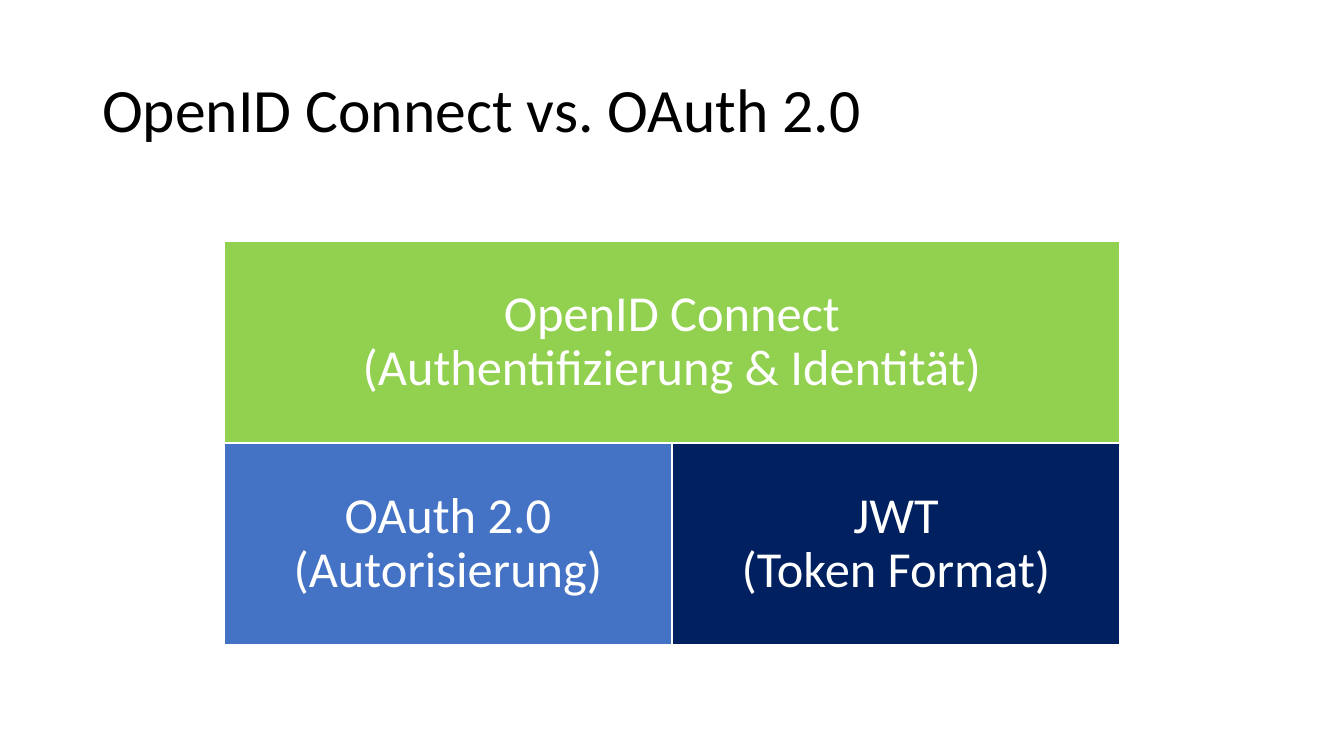
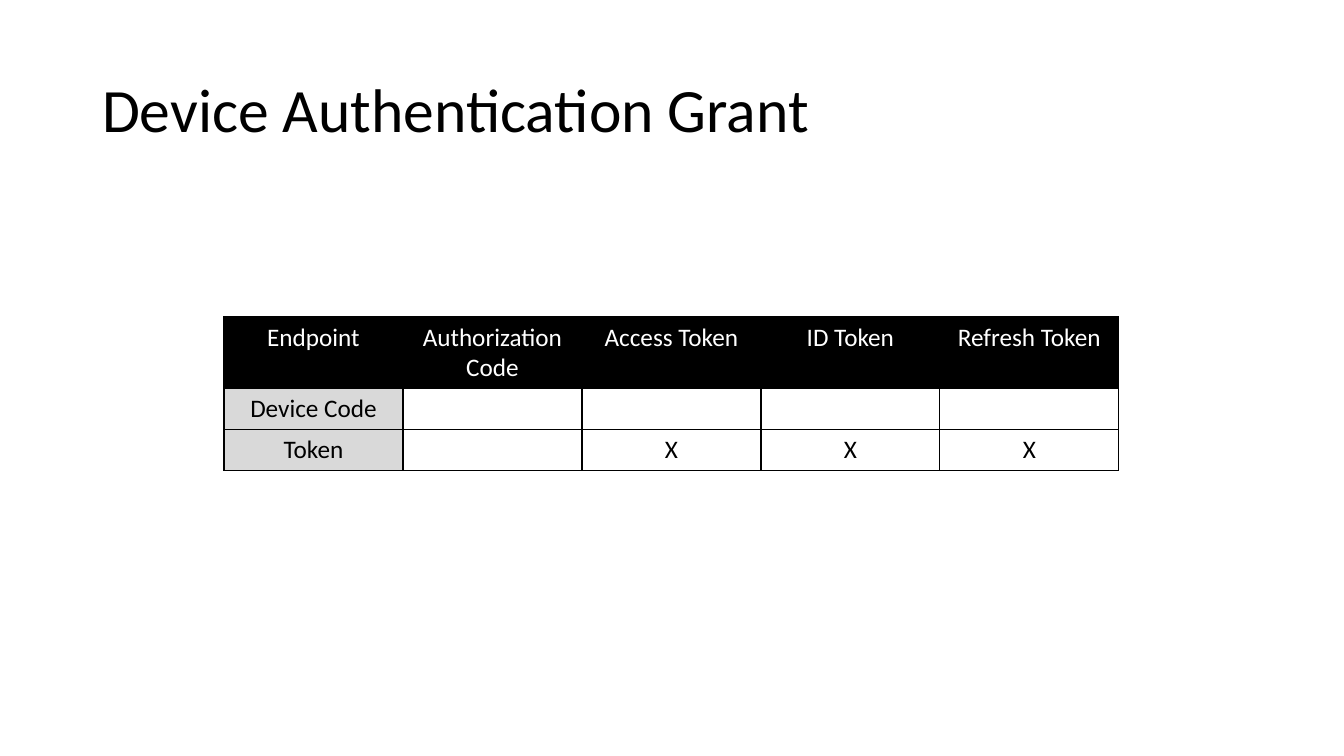
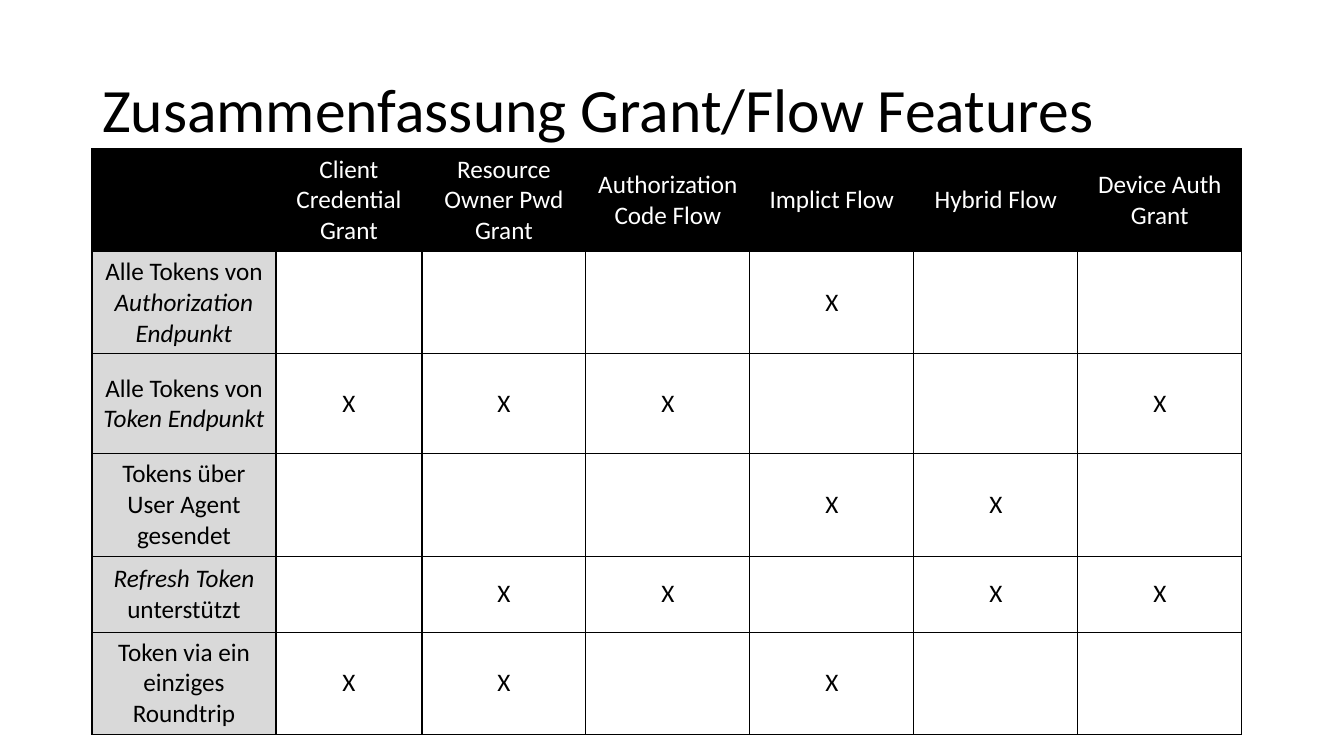
from lxml import etree
from pptx import Presentation
from pptx.dml.color import RGBColor
from pptx.enum.shapes import MSO_SHAPE
from pptx.enum.text import MSO_ANCHOR, MSO_AUTO_SIZE, PP_ALIGN
from pptx.oxml.ns import qn
from pptx.util import Emu, Pt

RECTANGLE = MSO_SHAPE.RECTANGLE
TOP, MIDDLE = MSO_ANCHOR.TOP, MSO_ANCHOR.MIDDLE
LEFT, CENTER = PP_ALIGN.LEFT, PP_ALIGN.CENTER
NO_AUTOFIT = MSO_AUTO_SIZE.NONE

SLIDE_WIDTH, SLIDE_HEIGHT = 1344, 756
EMU_PER_PX = 914400 / 100.8
TITLE_BOX = (92, 40, 1160, 146)
TITLE_ONLY_LAYOUT = 5

FONT = "Calibri"
BLACK, WHITE, LABEL_GRAY = "000000", "FFFFFF", "D9D9D9"
GREEN, BLUE, NAVY = "92D050", "4472C4", "002060"

TITLE_SIZE, BLOCK_SIZE, CELL_SIZE = 44, 36, 18


def px(length):
    return Emu(round(length * EMU_PER_PX))


def rgb(color):
    return RGBColor.from_string(color)


def add_run(paragraph, text, size, color, italic=False):
    run = paragraph.add_run()
    run.text = text
    run.font.name = FONT
    run.font.size = Pt(size)
    run.font.italic = italic
    run.font.color.rgb = rgb(color)


def add_titled_slide(prs, heading):
    slide = prs.slides.add_slide(prs.slide_layouts[TITLE_ONLY_LAYOUT])
    title = slide.shapes.title
    title.left, title.top, title.width, title.height = map(px, TITLE_BOX)
    frame = title.text_frame
    frame.auto_size = NO_AUTOFIT
    frame.vertical_anchor = MIDDLE
    paragraph = frame.paragraphs[0]
    paragraph.alignment = LEFT
    paragraph.line_spacing = 0.9
    add_run(paragraph, heading, TITLE_SIZE, BLACK)
    return slide


def add_block(slide, box, lines, color):
    block = slide.shapes.add_shape(RECTANGLE, *map(px, box))
    block.shadow.inherit = False
    block.fill.solid()
    block.fill.fore_color.rgb = rgb(color)
    block.line.color.rgb = rgb(WHITE)
    block.line.width = Pt(1)
    frame = block.text_frame
    frame.word_wrap = True
    frame.vertical_anchor = MIDDLE
    frame.margin_left = frame.margin_right = px(16)
    frame.margin_top = frame.margin_bottom = px(16)
    paragraph = frame.paragraphs[0]
    paragraph.alignment = CENTER
    paragraph.line_spacing = 0.9
    for index, line in enumerate(lines):
        if index:
            paragraph.add_line_break()
        add_run(paragraph, line, BLOCK_SIZE, WHITE)


def add_protocol_stack(slide, box, layers):
    """Stack layers of equal height, each split evenly among its blocks."""
    left, top, width, height = box
    layer_height = height // len(layers)
    for row, blocks in enumerate(layers):
        block_width = width // len(blocks)
        for column, (lines, color) in enumerate(blocks):
            block_box = (left + column * block_width, top + row * layer_height,
                         block_width, layer_height)
            add_block(slide, block_box, lines, color)


def add_borders(cell):
    properties = cell._tc.get_or_add_tcPr()
    for side in ("a:lnL", "a:lnR", "a:lnT", "a:lnB"):
        border = etree.SubElement(properties, qn(side), w=str(Pt(1)))
        fill = etree.SubElement(border, qn("a:solidFill"))
        etree.SubElement(fill, qn("a:srgbClr"), val=BLACK)


def fill_cell(cell, runs, anchor, fill, color):
    """Format a cell; runs holds (text, italic) pairs."""
    add_borders(cell)
    if fill:
        cell.fill.solid()
        cell.fill.fore_color.rgb = rgb(fill)
    else:
        cell.fill.background()
    cell.vertical_anchor = anchor
    paragraph = cell.text_frame.paragraphs[0]
    paragraph.alignment = CENTER
    for text, italic in runs:
        add_run(paragraph, text, CELL_SIZE, color, italic)


def add_feature_table(slide, origin, widths, heights, headers, features, anchor):
    """Draw features, pairs of label runs and marks with "-" for an empty cell."""
    size = (sum(widths), sum(heights))
    table = slide.shapes.add_table(len(heights), len(widths),
                                   *map(px, origin + size)).table
    table.first_row = table.horz_banding = False
    for column, width in zip(table.columns, widths):
        column.width = px(width)
    for row, height in zip(table.rows, heights):
        row.height = px(height)
    for column, header in enumerate(headers):
        runs = [(header, False)] if header else []
        fill_cell(table.cell(0, column), runs, anchor, BLACK, WHITE)
    for row, (label, marks) in enumerate(features, 1):
        fill_cell(table.cell(row, 0), label, anchor, LABEL_GRAY, BLACK)
        for column, mark in enumerate(marks, 1):
            runs = [(mark, False)] if mark != "-" else []
            fill_cell(table.cell(row, column), runs, anchor, None, BLACK)


def add_comparison_slide(prs):
    slide = add_titled_slide(prs, "OpenID Connect vs. OAuth 2.0")
    layers = [
        [(["OpenID Connect", "(Authentifizierung & Identität)"], GREEN)],
        [(["OAuth 2.0 (Autorisierung)"], BLUE),
         (["JWT", "(Token Format)"], NAVY)],
    ]
    add_protocol_stack(slide, (224, 241, 896, 404), layers)


def add_device_grant_slide(prs):
    slide = add_titled_slide(prs, "Device Authentication Grant")
    headers = ["Endpoint", "Authorization Code", "Access Token", "ID Token",
               "Refresh Token"]
    features = [
        ([("Device Code", False)], "----"),
        ([("Token", False)], "-XXX"),
    ]
    add_feature_table(slide, (224, 317), [179] * 5, [71, 41, 41],
                      headers, features, TOP)


def add_summary_slide(prs):
    slide = add_titled_slide(prs, "Zusammenfassung Grant/Flow Features")
    headers = ["", "Client Credential Grant", "Resource Owner Pwd Grant",
               "Authorization Code Flow", "Implict Flow", "Hybrid Flow",
               "Device Auth Grant"]
    features = [
        ([("Alle Tokens von ", False), ("Authorization Endpunkt", True)], "---X--"),
        ([("Alle Tokens von ", False), ("Token Endpunkt", True)], "XXX--X"),
        ([("Tokens über User Agent gesendet", False)], "---XX-"),
        ([("Refresh Token ", True), ("unterstützt", False)], "-XX-XX"),
        ([("Token via ein einziges Roundtrip", False)], "XX-X--"),
    ]
    add_feature_table(slide, (92, 149), [184, 146] + [164] * 5,
                      [102, 102, 100, 102, 76, 102], headers, features, MIDDLE)


def main():
    prs = Presentation()
    prs.slide_width, prs.slide_height = px(SLIDE_WIDTH), px(SLIDE_HEIGHT)
    add_comparison_slide(prs)
    add_device_grant_slide(prs)
    add_summary_slide(prs)
    prs.save("out.pptx")


if __name__ == "__main__":
    main()
